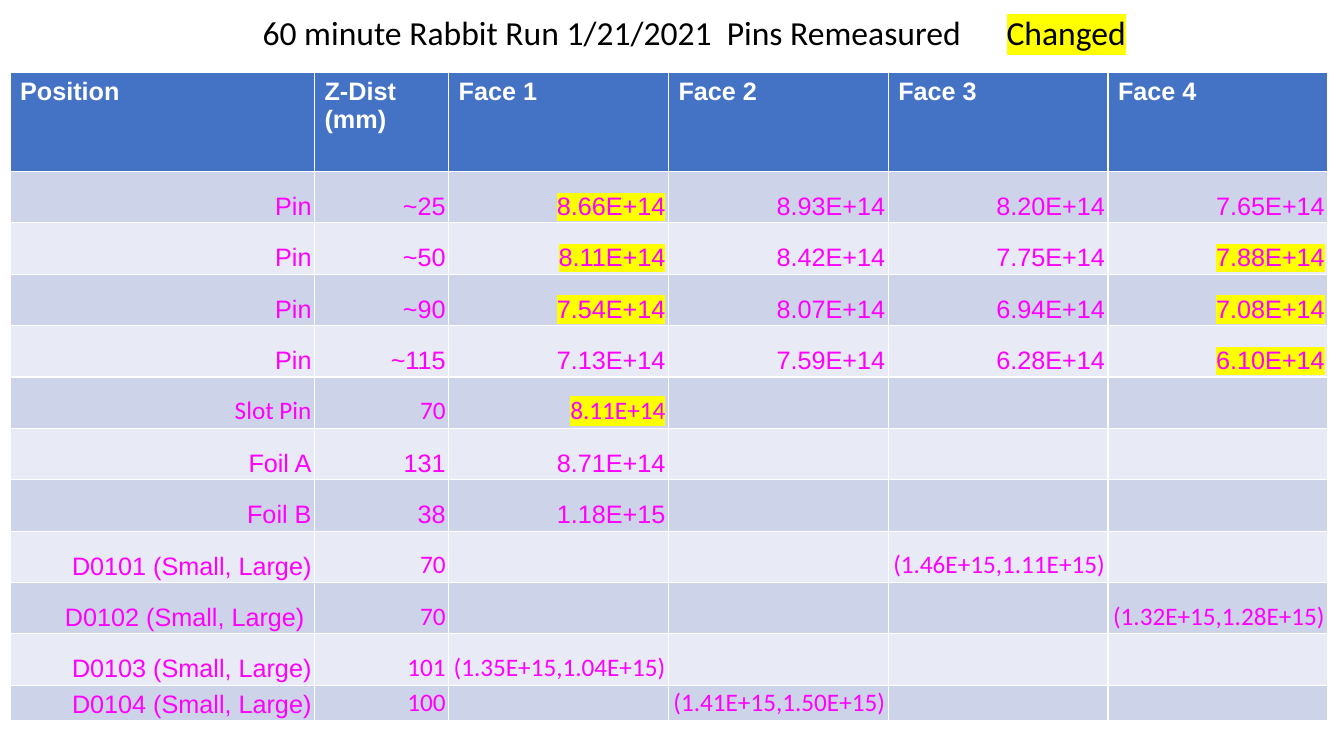
from lxml import etree
from pptx import Presentation
from pptx.dml.color import RGBColor
from pptx.enum.text import MSO_ANCHOR, MSO_AUTO_SIZE, PP_ALIGN
from pptx.oxml.ns import qn
from pptx.util import Inches, Pt

BOTTOM, TOP = MSO_ANCHOR.BOTTOM, MSO_ANCHOR.TOP
LEFT, CENTER, RIGHT = PP_ALIGN.LEFT, PP_ALIGN.CENTER, PP_ALIGN.RIGHT
GROW = MSO_AUTO_SIZE.SHAPE_TO_FIT_TEXT

SLIDE_WIDTH, SLIDE_HEIGHT = 13.33, 7.5
HEADER_FILL, BAND_FILLS = "4472C4", ("CDD4EA", "E8EBF5")
WHITE, BLACK, MAGENTA, YELLOW = "FFFFFF", "000000", "FF00FF", "FFFF00"

HEADINGS = ["Position", "Z-Dist (mm)", "Face 1", "Face 2", "Face 3", "Face 4"]
MEASUREMENTS = [
    ["Pin", "~25", "8.66E+14", "8.93E+14", "8.20E+14", "7.65E+14"],
    ["Pin", "~50", "8.11E+14", "8.42E+14", "7.75E+14", "7.88E+14"],
    ["Pin", "~90", "7.54E+14", "8.07E+14", "6.94E+14", "7.08E+14"],
    ["Pin", "~115", "7.13E+14", "7.59E+14", "6.28E+14", "6.10E+14"],
    ["Slot Pin", "70", "8.11E+14", "", "", ""],
    ["Foil A", "131", "8.71E+14", "", "", ""],
    ["Foil B", "38", "1.18E+15", "", "", ""],
    ["D0101 (Small, Large)", "70", "", "", "(1.46E+15,1.11E+15)", ""],
    ["D0102 (Small, Large) ", "70", "", "", "", "(1.32E+15,1.28E+15)"],
    ["D0103 (Small, Large)", "101", "(1.35E+15,1.04E+15)", "", "", ""],
    ["D0104 (Small, Large)", "100", "", "(1.41E+15,1.50E+15)", "", ""],
]
CHANGED = {"8.66E+14", "8.11E+14", "7.54E+14", "7.88E+14", "7.08E+14", "6.10E+14"}
COLUMN_WIDTHS = [3.02, 1.33] + [2.18] * 4
ROW_HEIGHTS = [0.98] + [0.51] * 10 + [0.35]


def color(hex_code):
    """Turn a hex string into a colour."""
    return RGBColor.from_string(hex_code)


def style_paragraph(paragraph, font_name, size, hex_code, alignment, bold=False):
    """Set the font and alignment of a whole paragraph."""
    paragraph.alignment = alignment
    font = paragraph.font
    font.name, font.size, font.bold = font_name, Pt(size), bold
    font.color.rgb = color(hex_code)


def add_run(paragraph, text, highlight=None):
    """Append text, optionally on a highlight colour, and return its run."""
    run = paragraph.add_run()
    run.text = text
    if highlight:
        marker = etree.SubElement(run.font._element, qn("a:highlight"))
        etree.SubElement(marker, qn("a:srgbClr"), val=highlight)
    return run


def add_title(slide):
    """Add the centred heading with its key to the highlighted values."""
    title = slide.shapes.add_textbox(Inches(1.49), Inches(0.07), Inches(10.79), Inches(0.5))
    frame = title.text_frame
    frame.word_wrap = True
    frame.auto_size = GROW
    heading = frame.paragraphs[0]
    style_paragraph(heading, "Calibri", 24, BLACK, CENTER)
    add_run(heading, "60 minute Rabbit Run 1/21/2021  Pins Remeasured")
    gap = add_run(heading, " ")
    gap.font._element.set("spc", "2700")
    add_run(heading, "Changed", YELLOW)


def fill_cell(cell, text, fill, margins, anchor):
    """Fill a cell, place its text and return the paragraph."""
    cell.fill.solid()
    cell.fill.fore_color.rgb = color(fill)
    side, edge = map(Inches, margins)
    cell.margin_left = cell.margin_right = side
    cell.margin_top = cell.margin_bottom = edge
    cell.vertical_anchor = anchor
    paragraph = cell.text_frame.paragraphs[0]
    if text:
        add_run(paragraph, text, YELLOW if text in CHANGED else None)
    return paragraph


def measurement_font(position, column):
    """Choose the font of a measurement by its position and column."""
    detector_value = position.startswith("D") and column > 0
    return "Calibri" if position == "Slot Pin" or detector_value else "Arial"


def add_measurements(slide):
    """Add the table of measurements per position and face."""
    table = slide.shapes.add_table(
        len(ROW_HEIGHTS), len(COLUMN_WIDTHS), Inches(0.1), Inches(0.72),
        Inches(sum(COLUMN_WIDTHS)), Inches(sum(ROW_HEIGHTS))).table
    for column, width in zip(table.columns, COLUMN_WIDTHS):
        column.width = Inches(width)
    for row, height in zip(table.rows, ROW_HEIGHTS):
        row.height = Inches(height)
    for column, heading in enumerate(HEADINGS):
        paragraph = fill_cell(table.cell(0, column), heading, HEADER_FILL, (0.1, 0.05), TOP)
        style_paragraph(paragraph, "Arial", 18, WHITE, LEFT, bold=True)
    for row, values in enumerate(MEASUREMENTS):
        for column, value in enumerate(values):
            cell = table.cell(row + 1, column)
            paragraph = fill_cell(cell, value, BAND_FILLS[row % 2], (0.03, 0.02), BOTTOM)
            font_name = measurement_font(values[0], column)
            style_paragraph(paragraph, font_name, 18, MAGENTA, RIGHT)


def main():
    """Build and save the slide."""
    presentation = Presentation()
    presentation.slide_width = Inches(SLIDE_WIDTH)
    presentation.slide_height = Inches(SLIDE_HEIGHT)
    slide = presentation.slides.add_slide(presentation.slide_layouts[6])
    add_measurements(slide)
    add_title(slide)
    presentation.save("out.pptx")


main()
